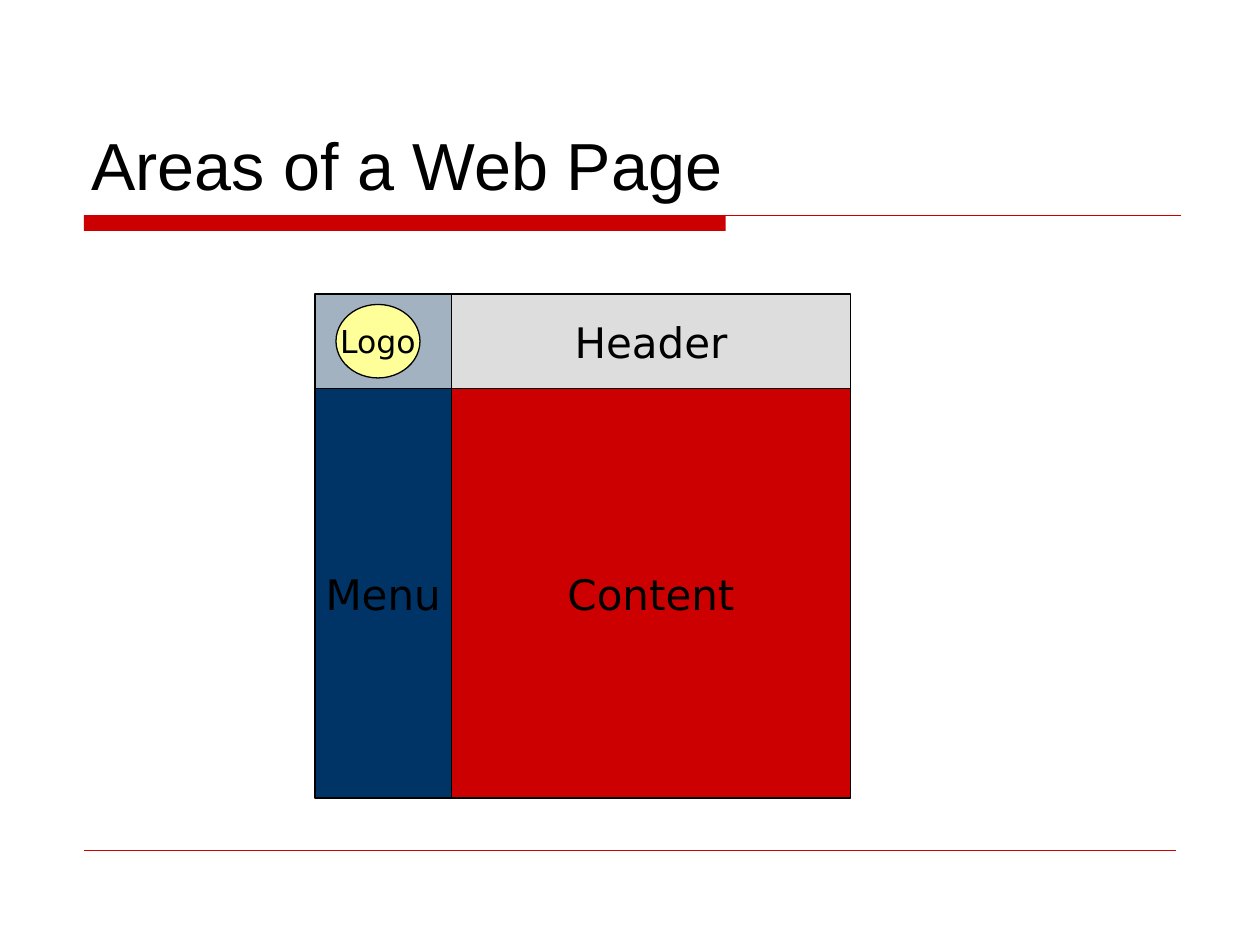
from typing import NamedTuple

from pptx import Presentation
from pptx.dml.color import RGBColor
from pptx.enum.shapes import MSO_CONNECTOR as Link, MSO_SHAPE as Form
from pptx.enum.text import MSO_ANCHOR as Anchor, PP_ALIGN as Align
from pptx.oxml.ns import qn
from pptx.slide import Slide
from pptx.text.text import TextFrame
from pptx.util import Emu, Pt

BLACK = RGBColor(0x00, 0x00, 0x00)
RED = RGBColor(0xCC, 0x00, 0x00)
NAVY = RGBColor(0x00, 0x33, 0x66)
STEEL = RGBColor(0xA3, 0xB2, 0xC1)
GREY = RGBColor(0xDD, 0xDD, 0xDD)
CREAM = RGBColor(0xFF, 0xFF, 0x99)

LEFT, MID, RIGHT = 240, 344, 648
TOP, SPLIT, BASE = 224, 296, 608


class Area(NamedTuple):
    left: int
    top: int
    right: int
    base: int
    fill: RGBColor
    label: str = ""
    size: int = 24
    form: Form = Form.RECTANGLE
    edge: bool = True


class Rule(NamedTuple):
    left: int
    right: int
    y: int
    width: float


AREAS = [
    Area(64, 164, 553, 176, RED, edge=False),
    Area(LEFT, SPLIT, MID, BASE, NAVY, "Menu"),
    Area(LEFT, TOP, MID, SPLIT, STEEL),
    Area(MID, TOP, RIGHT, SPLIT, GREY, "Header"),
    Area(MID, SPLIT, RIGHT, BASE, RED, "Content"),
    Area(256, 232, 320, 288, CREAM, "Logo", 18, Form.OVAL),
]
RULES = [Rule(64, 900, 164, 0.75), Rule(64, 896, 648, 0.25)]


def px(n: int) -> Emu:
    return Emu(n * 9525)


def write(frame: TextFrame, text: str, size: int, font: str, align: Align) -> None:
    para = frame.paragraphs[0]
    para.alignment = align
    run = para.add_run()
    run.text = text
    run.font.size = Pt(size)
    run.font.name = font
    run.font.color.rgb = BLACK


def draw_title(slide: Slide, text: str) -> None:
    title = slide.shapes.title
    title.left, title.top = px(60), px(32)
    title.width, title.height = px(840), px(128)
    title.text_frame.vertical_anchor = Anchor.BOTTOM
    title.text_frame.word_wrap = True
    write(title.text_frame, text, 38, "Arial", Align.LEFT)


def draw_area(slide: Slide, area: Area) -> None:
    shape = slide.shapes.add_shape(
        area.form, px(area.left), px(area.top),
        px(area.right - area.left), px(area.base - area.top))
    shape.shadow.inherit = False
    shape.fill.solid()
    shape.fill.fore_color.rgb = area.fill
    if area.edge:
        shape.line.color.rgb = BLACK
        shape.line.width = Pt(0.75)
    else:
        shape.line.fill.background()
    if area.label:
        frame = shape.text_frame
        frame.word_wrap = False
        frame.vertical_anchor = Anchor.MIDDLE
        write(frame, area.label, area.size, "DejaVu Sans", Align.CENTER)


def draw_rule(slide: Slide, rule: Rule) -> None:
    line = slide.shapes.add_connector(
        Link.STRAIGHT, px(rule.left), px(rule.y), px(rule.right), px(rule.y))
    line.line.color.rgb = RED
    line.line.width = Pt(rule.width)
    props = line._element.spPr
    props.append(props.makeelement(qn("a:effectLst"), {}))


def main() -> None:
    deck = Presentation()
    deck.slide_width, deck.slide_height = px(960), px(720)
    slide = deck.slides.add_slide(deck.slide_layouts[5])
    draw_title(slide, "Areas of a Web Page")
    for rule in RULES:
        draw_rule(slide, rule)
    for area in AREAS:
        draw_area(slide, area)
    deck.save("out.pptx")


if __name__ == "__main__":
    main()
